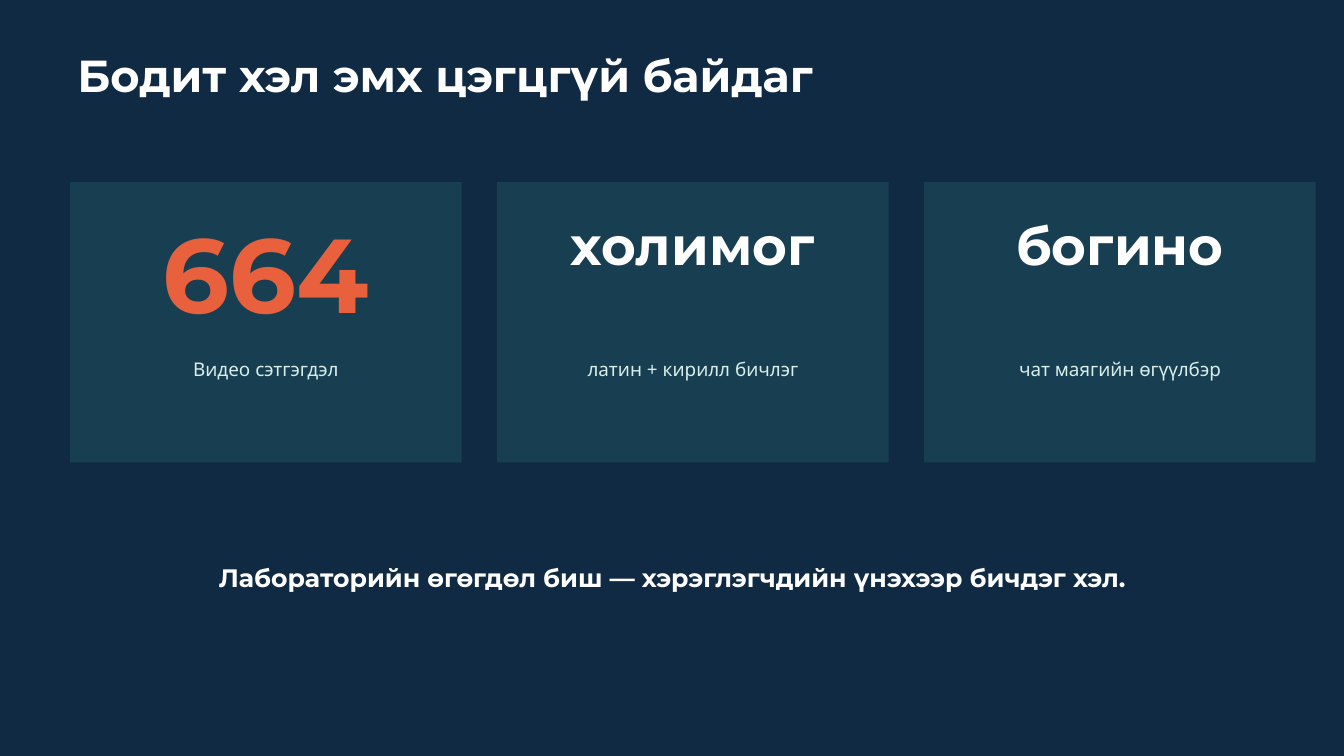
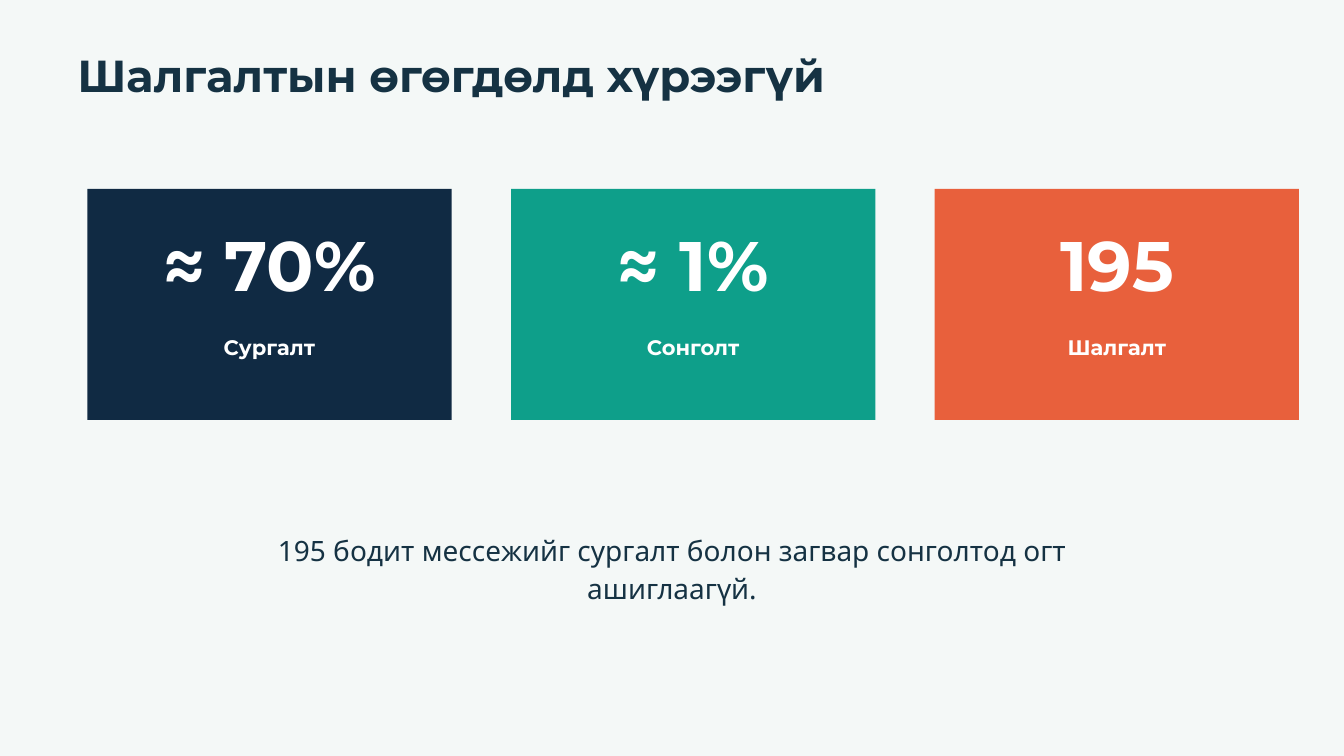
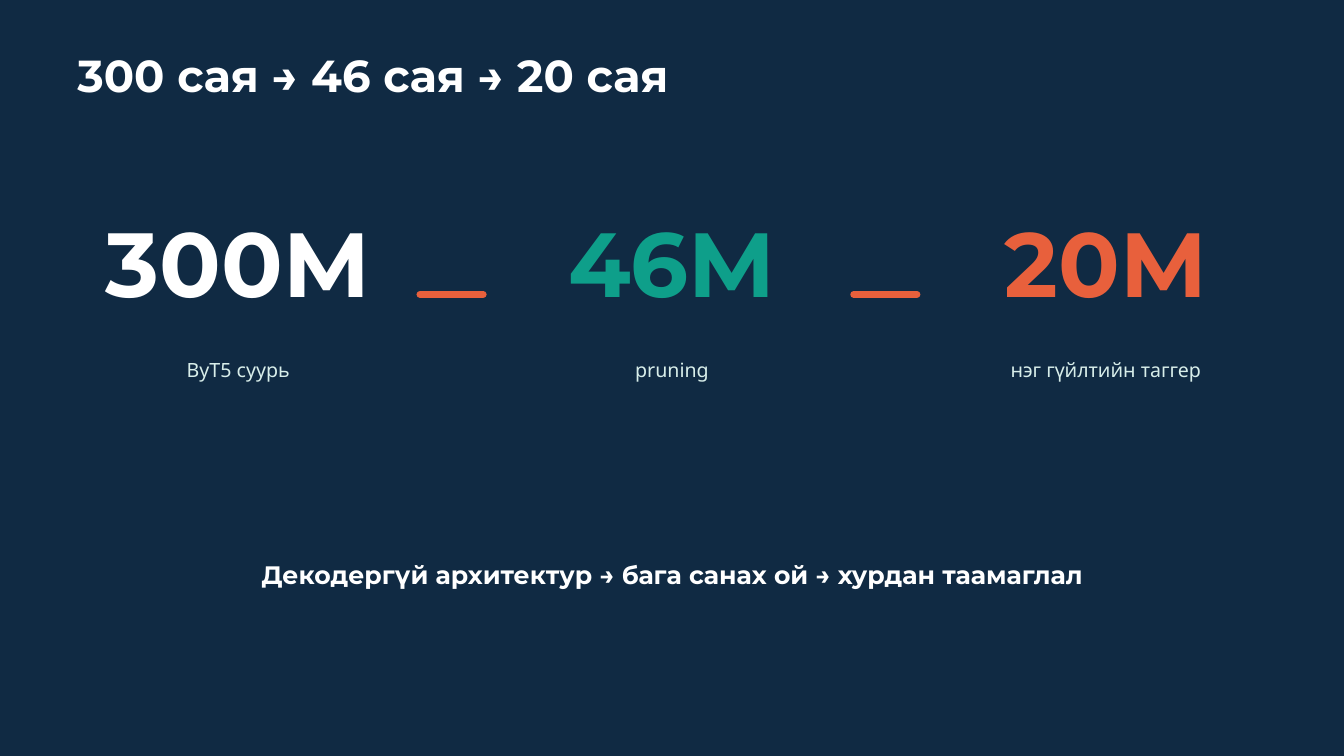
from dataclasses import dataclass

from lxml import etree
from pptx import Presentation
from pptx.dml.color import RGBColor
from pptx.enum import shapes, text
from pptx.oxml import ns
from pptx.util import Inches, Pt


@dataclass(frozen=True)
class Style:
    size: float
    lead: float
    font: str = "Montserrat"
    bold: bool = True


class Theme:
    navy, paper, panel = "102A43", "F4F8F7", "173E51"
    ink, white, mint = "153243", "FFFFFF", "D8EEEA"
    teal, coral = "0E9F8A", "E8603C"
    title = Style(48, 49)
    count = Style(112.5, 114.8)
    word = Style(57, 58.1)
    share = Style(75, 76.5)
    model = Style(97.5, 99.5)
    name = Style(22.5, 22.9)
    close = Style(27, 27.5)
    label = Style(20.2, 27.3, "Noto Sans", False)
    step = Style(21, 28.4, "Noto Sans", False)
    note = Style(30, 40.5, "Noto Sans", False)


T = Theme

# Value, label, value style, value colour, value top, value height
TRAITS = [
    ("664", "Видео сэтгэгдэл", T.count, T.coral, 3.39, 1.72),
    ("холимог", "латин + кирилл бичлэг", T.word, T.white, 3.31, 0.87),
    ("богино", "чат маягийн өгүүлбэр", T.word, T.white, 3.31, 0.87),
]
SPLITS = [
    ("≈ 70%", "Сургалт", T.navy),
    ("≈ 1%", "Сонголт", T.teal),
    ("195", "Шалгалт", T.coral),
]
MODELS = [
    ("300M", "ByT5 суурь", T.white),
    ("46M", "pruning", T.teal),
    ("20M", "нэг гүйлтийн таггер", T.coral),
]


def color(code):
    return RGBColor.from_string(code)


def spread(first, last, items):
    """Pair each item with its left edge, evenly from first to last."""
    step = (last - first) / (len(items) - 1)
    return [(first + i * step, item) for i, item in enumerate(items)]


def write(box, words, style, tint, align=text.PP_ALIGN.CENTER):
    frame = box.text_frame
    frame.word_wrap = True
    frame.auto_size = text.MSO_AUTO_SIZE.SHAPE_TO_FIT_TEXT
    frame.vertical_anchor = text.MSO_ANCHOR.TOP
    frame.margin_left = frame.margin_right = 0
    frame.margin_top = frame.margin_bottom = 0
    para = frame.paragraphs[0]
    para.alignment = align
    para.line_spacing = Pt(style.lead)
    run = para.add_run()
    run.text = words
    run.font.name = style.font
    run.font.size = Pt(style.size)
    run.font.bold = style.bold
    run.font.color.rgb = color(tint)


def put(host, at, words, style, tint):
    write(host.shapes.add_textbox(*map(Inches, at)), words, style, tint)


def card(slide, at, fill):
    """Start a group on a filled rectangle."""
    group = slide.shapes.add_group_shape()
    rect = group.shapes.add_shape(shapes.MSO_SHAPE.RECTANGLE, *map(Inches, at))
    rect.shadow.inherit = False
    rect.fill.solid()
    rect.fill.fore_color.rgb = color(fill)
    rect.line.fill.background()
    return group


def dash(slide, left, top, width):
    line = slide.shapes.add_connector(
        shapes.MSO_CONNECTOR.STRAIGHT,
        *map(Inches, (left, top, left + width, top)))
    line.line.color.rgb = color(T.coral)
    line.line.width = Pt(7.5)
    line.line._ln.set("cap", "rnd")
    etree.SubElement(line._element.spPr, ns.qn("a:effectLst"))


def start(deck, words, back, tint):
    """Add a slide with its background and title."""
    slide = deck.slides.add_slide(deck.slide_layouts[5])
    slide.background.fill.solid()
    slide.background.fill.fore_color.rgb = color(back)
    head = slide.shapes.title
    head.left, head.top = Inches(1.15), Inches(0.83)
    head.width, head.height = Inches(15.62), Inches(0.69)
    write(head, words, T.title, tint, text.PP_ALIGN.LEFT)
    return slide


def show_traits(deck):
    slide = start(deck, "Бодит хэл эмх цэгцгүй байдаг", T.navy, T.white)
    wide, pad = 5.83, 0.21
    for left, item in spread(1.04, 13.75, TRAITS):
        value, label, style, tint, top, high = item
        group = card(slide, (left, 2.71, wide, 4.17), T.panel)
        put(group, (left, top, wide, high), value, style, tint)
        put(group, (left + pad, 5.28, wide - 2 * pad, 0.36),
            label, T.label, T.mint)
    put(slide, (3.02, 8.44, 13.96, 0.39),
        "Лабораторийн өгөгдөл биш — хэрэглэгчдийн үнэхээр бичдэг хэл.",
        T.close, T.white)


def show_splits(deck):
    slide = start(deck, "Шалгалтын өгөгдөлд хүрээгүй", T.paper, T.ink)
    wide = 5.42
    for left, (value, label, fill) in spread(1.3, 13.91, SPLITS):
        group = card(slide, (left, 2.81, wide, 3.44), fill)
        put(group, (left, 3.49, wide, 1.15), value, T.share, T.white)
        put(group, (left, 5.03, wide, 0.34), label, T.name, T.white)
    put(slide, (3.54, 7.88, 12.92, 1.1),
        "195 бодит мессежийг сургалт болон загвар сонголтод огт ашиглаагүй.",
        T.note, T.ink)


def show_models(deck):
    slide = start(deck, "300 сая → 46 сая → 20 сая", T.navy, T.white)
    wide, gap = 5.21, 0.1
    places = spread(0.94, 13.85, MODELS)
    for left, (value, label, tint) in places:
        put(slide, (left, 3.31, wide, 1.43), value, T.model, tint)
        put(slide, (left, 5.28, wide, 0.37), label, T.step, T.mint)
    put(slide, (3.44, 8.39, 13.12, 0.39),
        "Декодергүй архитектур → бага санах ой → хурдан таамаглал",
        T.close, T.white)
    for left, _ in places[:-1]:
        dash(slide, left + wide + gap, 4.38, 0.94)


def main():
    deck = Presentation()
    deck.slide_width, deck.slide_height = Inches(20), Inches(11.25)
    show_traits(deck)
    show_splits(deck)
    show_models(deck)
    deck.save("out.pptx")


if __name__ == "__main__":
    main()
